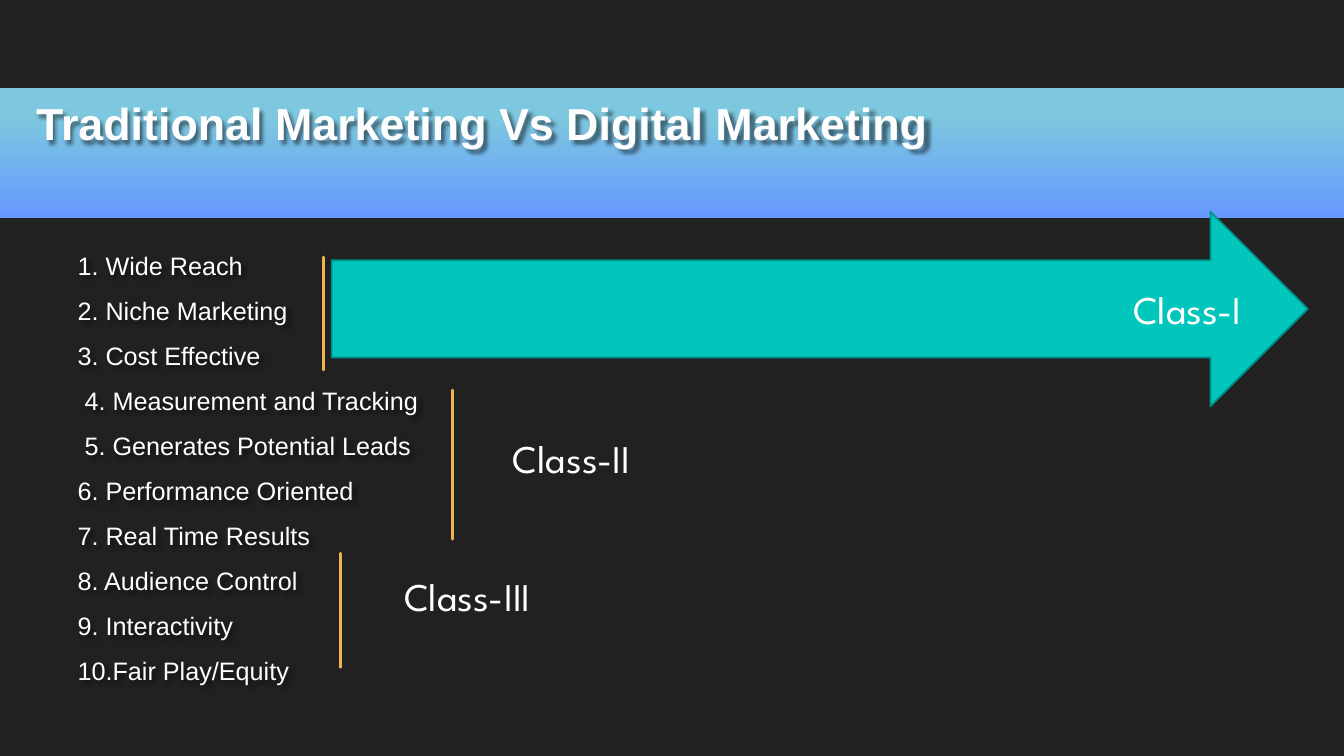
from dataclasses import dataclass

from lxml import etree
from pptx import Presentation
from pptx import util as u
from pptx.dml.color import RGBColor
from pptx.enum import shapes, text
from pptx.oxml import parse_xml
from pptx.oxml.ns import nsdecls, qn


@dataclass(frozen=True)
class Theme:
    background: str = "212121"
    band_top: str = "7DC8DF"
    band_bottom: str = "6699FF"
    title: str = "FEFEFE"
    body: str = "FFFFFF"
    bracket: str = "EFB251"
    arrow: str = "00C6BB"
    arrow_edge: str = "00928A"
    text_font: str = "Arial"
    label_font: str = "League Spartan"
    title_size: float = 32
    body_size: float = 18
    label_size: float = 28


theme = Theme()
color = RGBColor.from_string

deck = Presentation()
deck.slide_width, deck.slide_height = u.Inches(13.33), u.Inches(7.5)
page = deck.slides.add_slide(deck.slide_layouts[6])
page.background.fill.solid()
page.background.fill.fore_color.rgb = color(theme.background)


def place(*shares):
    """Turn x, y, x, y ... in percent of the slide into lengths."""
    sides = (deck.slide_width, deck.slide_height)
    return [u.Emu(round(share * sides[i % 2] / 100)) for i, share in enumerate(shares)]


def add_text(lines, at, size, font, ink, bold=False, anchor=text.MSO_ANCHOR.TOP,
             before=0, after=0, shadow=False):
    box = page.shapes.add_textbox(*place(*at))
    frame = box.text_frame
    frame.word_wrap = True
    frame.vertical_anchor = anchor
    for number, line in enumerate(lines):
        para = frame.add_paragraph() if number else frame.paragraphs[0]
        para.space_before, para.space_after = u.Pt(before), u.Pt(after)
        span = para.add_run()
        span.text = line
        span.font.name, span.font.size, span.font.bold = font, u.Pt(size), bold
        span.font.color.rgb = color(ink)
    if shadow:
        box._element.spPr.append(parse_xml(
            f'<a:effectLst {nsdecls("a")}><a:outerShdw blurRad="38100" dist="38100" '
            'dir="2700000" algn="tl"><a:srgbClr val="000000"><a:alpha val="50000"/>'
            '</a:srgbClr></a:outerShdw></a:effectLst>'))


# Title band
band = page.shapes.add_shape(shapes.MSO_SHAPE.RECTANGLE, *place(0, 11.7, 100, 17.1))
band.shadow.inherit = False
band.line.fill.background()
band.fill.gradient()
band.fill.gradient_angle = 270
stops = [(0.21, theme.band_top), (1, theme.band_bottom)]
for stop, (position, tint) in zip(band.fill.gradient_stops, stops):
    stop.position = position
    stop.color.rgb = color(tint)

add_text(["Traditional Marketing Vs Digital Marketing"], (1.95, 12.13, 78.4, 8.27),
         theme.title_size, theme.text_font, theme.title, bold=True,
         anchor=text.MSO_ANCHOR.BOTTOM, shadow=True)

# Numbered benefits
benefits = [
    "1. Wide Reach",
    "2. Niche Marketing",
    "3. Cost Effective",
    " 4. Measurement and Tracking",
    " 5. Generates Potential Leads",
    "6. Performance Oriented",
    "7. Real Time Results",
    "8. Audience Control",
    "9. Interactivity",
    "10.Fair Play/Equity",
]
add_text(benefits, (5.03, 34, 30.53, 55.87), theme.body_size, theme.text_font,
         theme.body, anchor=text.MSO_ANCHOR.MIDDLE, before=4.5, after=6, shadow=True)

# Arrow of the first class
arrow = page.shapes.add_shape(shapes.MSO_SHAPE.RIGHT_ARROW,
                              *place(24.68, 28, 72.62, 25.73))
arrow.shadow.inherit = False
arrow.fill.solid()
arrow.fill.fore_color.rgb = color(theme.arrow)
arrow.line.color.rgb = color(theme.arrow_edge)
arrow.line.width = u.Pt(1.25)

# Each class: name, bracket x, top and bottom, label left and top
classes = [
    ("Class-I", 24.08, 34, 48.93, 83.57, 37.07),
    ("Class-II", 33.68, 51.6, 71.33, 37.43, 56.8),
    ("Class-III", 25.36, 73.2, 88.27, 29.33, 75.07),
]
for name, x, top, bottom, label_left, label_top in classes:
    bracket = page.shapes.add_connector(shapes.MSO_CONNECTOR.STRAIGHT,
                                        *place(x, top, x, bottom))
    bracket.line.color.rgb = color(theme.bracket)
    bracket.line.width = u.Pt(2)
    properties = bracket._element.spPr
    properties.find(qn("a:ln")).set("cap", "rnd")
    etree.SubElement(properties, qn("a:effectLst"))
    add_text([name], (label_left, label_top, 12.38, 7.6), theme.label_size,
             theme.label_font, theme.body)

deck.save("out.pptx")
